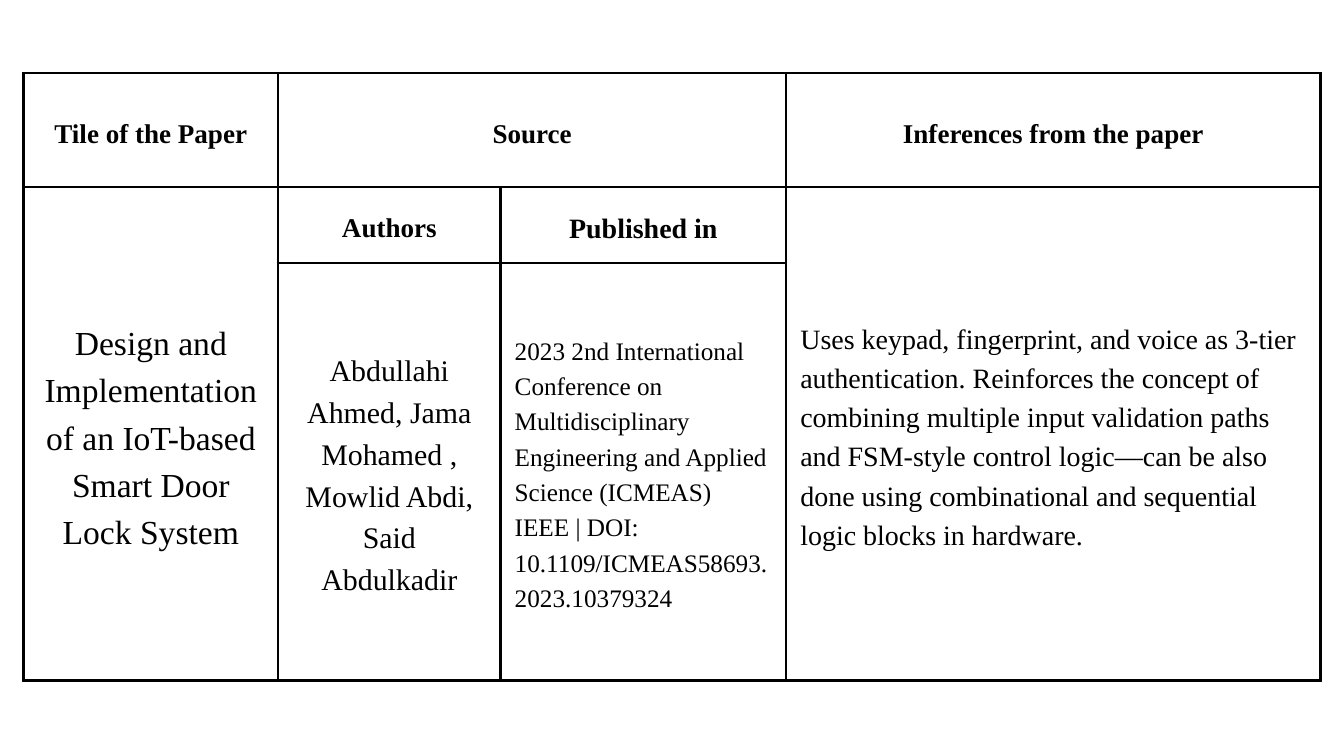
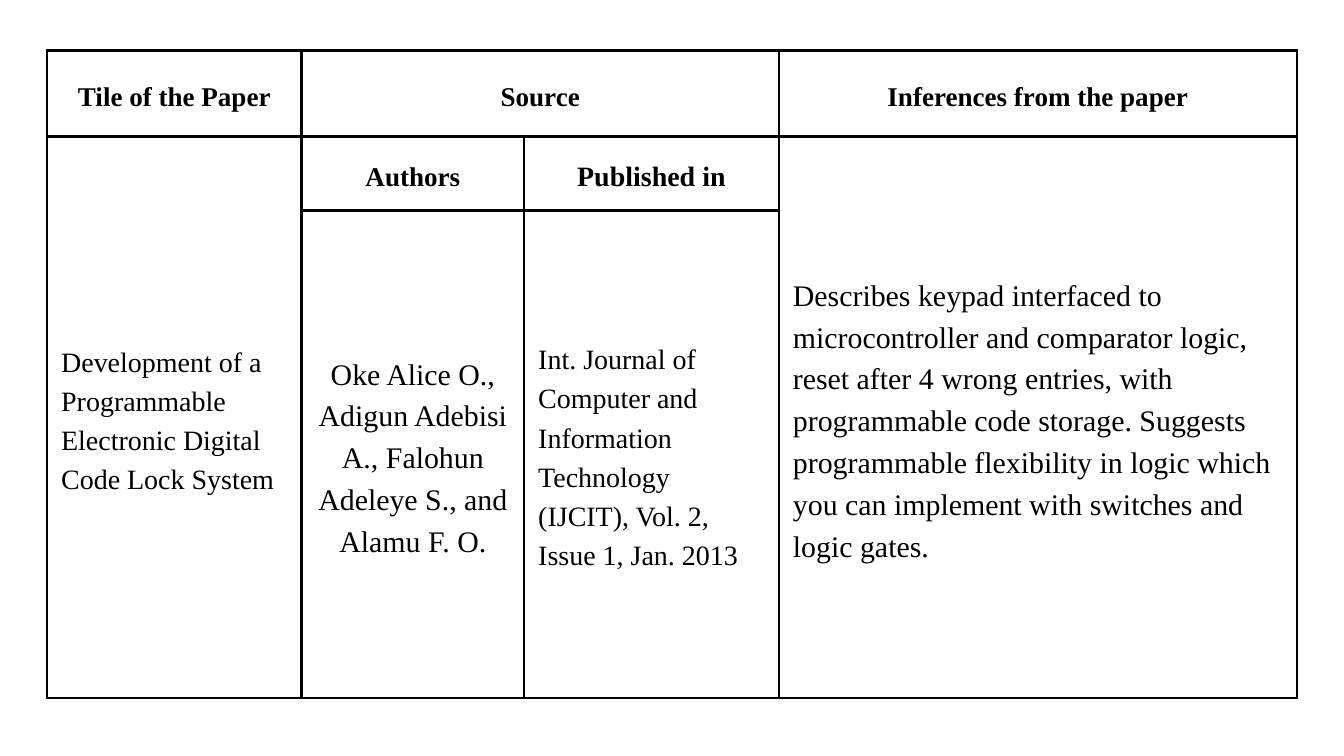
from dataclasses import dataclass

from lxml import etree
from pptx import Presentation
from pptx.dml.color import RGBColor
from pptx.enum.text import MSO_ANCHOR, PP_ALIGN
from pptx.oxml.ns import qn
from pptx.util import Inches, Pt

FONT = "Times New Roman"
INK = RGBColor(0, 0, 0)
BORDER_PT = 3
CELL_MARGIN = Inches(0.21)
LINE_HEIGHT = 1.4
HEADER_SIZE = 29
BLANK_LAYOUT = 6


@dataclass
class Entry:
    """Text of one table cell."""
    text: str
    size: int = HEADER_SIZE
    bold: bool = False
    align: PP_ALIGN = PP_ALIGN.LEFT


@dataclass
class Paper:
    """One reviewed paper with the place and grid of its table."""
    left: float
    top: float
    columns: list
    rows: list
    title: Entry
    authors: Entry
    publication: Entry
    inferences: Entry


def heading(text, size=HEADER_SIZE):
    return Entry(text, size, True, PP_ALIGN.CENTER)


def centred(text, size):
    return Entry(text, size, align=PP_ALIGN.CENTER)


PAPERS = [
    Paper(
        0.35, 1.09, [3.79, 3.31, 4.25, 7.95], [1.69, 1.13, 6.22],
        title=centred("Design and Implementation of an IoT-based Smart Door Lock System", 36),
        authors=centred("Abdullahi Ahmed, Jama Mohamed , Mowlid Abdi, Said Abdulkadir", 32),
        publication=Entry(
            "2023 2nd International Conference on Multidisciplinary Engineering and "
            "Applied Science (ICMEAS) IEEE | DOI: 10.1109/ICMEAS58693.2023.10379324", 27),
        inferences=Entry(
            "Uses keypad, fingerprint, and voice as 3-tier authentication. Reinforces the "
            "concept of combining multiple input validation paths and FSM-style control "
            "logic—can be also done using combinational and sequential logic blocks in "
            "hardware.", 30),
    ),
    Paper(
        0.7, 0.75, [3.79, 3.31, 3.79, 7.71], [1.28, 1.1, 7.26],
        title=Entry("Development of a Programmable Electronic Digital Code Lock System", 30),
        authors=centred(
            "Oke Alice O., Adigun Adebisi A., Falohun Adeleye S., and Alamu F. O.", 32),
        publication=Entry(
            "Int. Journal of Computer and Information Technology (IJCIT), Vol. 2, "
            "Issue 1, Jan. 2013", 30),
        inferences=Entry(
            "Describes keypad interfaced to microcontroller and comparator logic, reset "
            "after 4 wrong entries, with programmable code storage. Suggests programmable "
            "flexibility in logic which you can implement with switches and logic gates.", 32),
    ),
]


def style_cell(cell):
    """Give a cell its four borders, margins and no fill."""
    properties = cell._tc.get_or_add_tcPr()
    for side in ("a:lnL", "a:lnR", "a:lnT", "a:lnB"):
        line = etree.SubElement(properties, qn(side), w=str(Pt(BORDER_PT)))
        fill = etree.SubElement(line, qn("a:solidFill"))
        etree.SubElement(fill, qn("a:srgbClr"), val=str(INK))
    cell.fill.background()
    cell.margin_left = cell.margin_right = CELL_MARGIN
    cell.margin_top = cell.margin_bottom = CELL_MARGIN
    cell.vertical_anchor = MSO_ANCHOR.MIDDLE


def write_entry(cell, entry):
    paragraph = cell.text_frame.paragraphs[0]
    paragraph.alignment = entry.align
    paragraph.line_spacing = Pt(entry.size * LINE_HEIGHT)
    run = paragraph.add_run()
    run.text = entry.text
    run.font.name = FONT
    run.font.size = Pt(entry.size)
    run.font.bold = entry.bold
    run.font.color.rgb = INK


def add_paper_table(slide, paper):
    frame = slide.shapes.add_table(
        len(paper.rows), len(paper.columns), Inches(paper.left), Inches(paper.top),
        Inches(sum(paper.columns)), Inches(sum(paper.rows)))
    table = frame.table
    table.first_row = table.horz_banding = False
    for column, width in zip(table.columns, paper.columns):
        column.width = Inches(width)
    for row, height in zip(table.rows, paper.rows):
        row.height = Inches(height)
    for cell in table.iter_cells():
        style_cell(cell)

    table.cell(0, 1).merge(table.cell(0, 2))
    for column in (0, 3):
        table.cell(1, column).merge(table.cell(2, column))

    entries = {
        (0, 0): heading("Tile of the Paper"),
        (0, 1): heading("Source"),
        (0, 3): heading("Inferences from the paper"),
        (1, 0): paper.title,
        (1, 1): heading("Authors"),
        (1, 2): heading("Published in", 30),
        (1, 3): paper.inferences,
        (2, 1): paper.authors,
        (2, 2): paper.publication,
    }
    for position, entry in entries.items():
        write_entry(table.cell(*position), entry)


def main():
    deck = Presentation()
    deck.slide_width = Inches(20)
    deck.slide_height = Inches(11.25)
    for paper in PAPERS:
        slide = deck.slides.add_slide(deck.slide_layouts[BLANK_LAYOUT])
        add_paper_table(slide, paper)
    deck.save("out.pptx")


if __name__ == "__main__":
    main()
